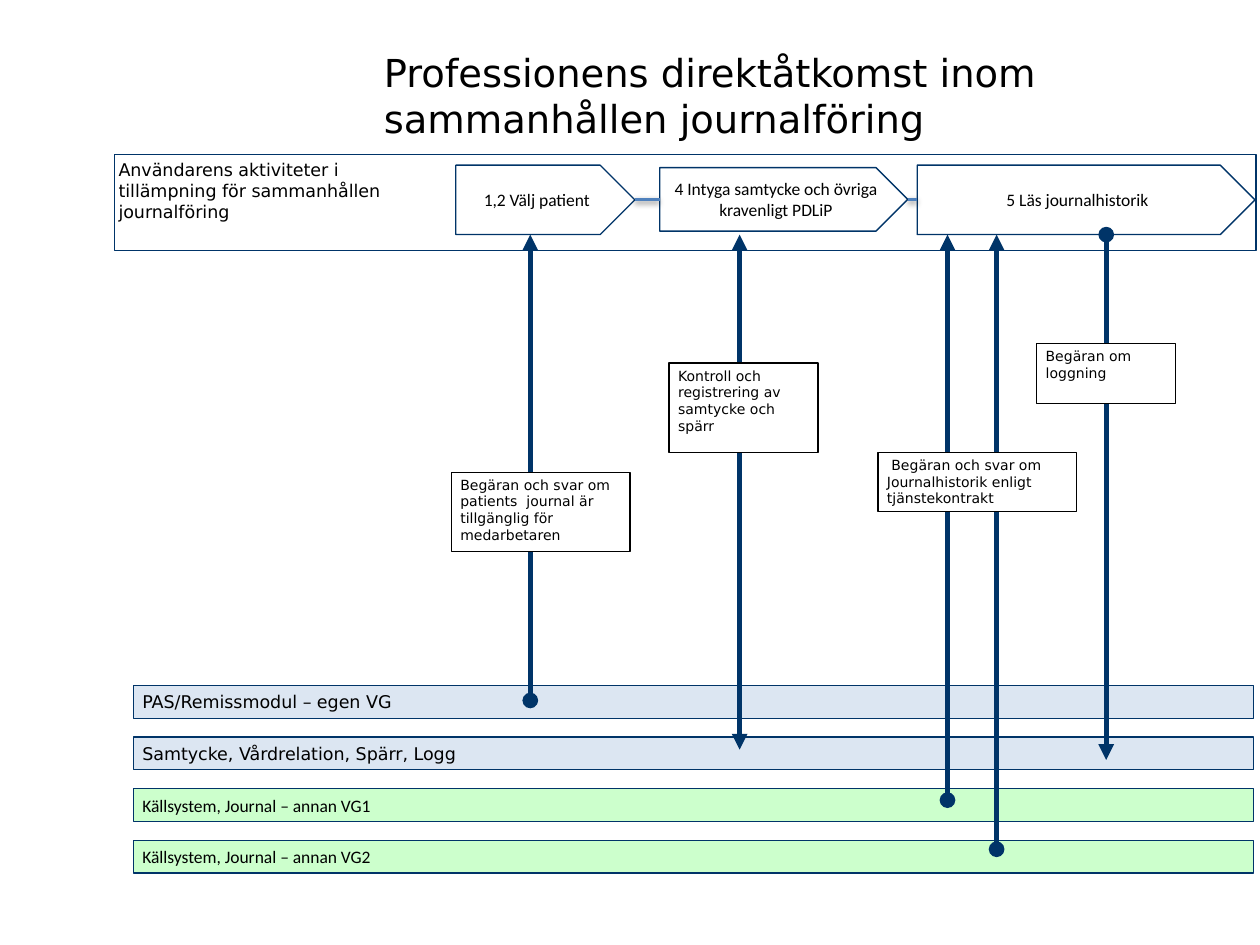
"""Builds the slide on direct access to shared health records."""
from lxml import etree
from pptx import Presentation
from pptx import util as u
from pptx.dml.color import RGBColor
from pptx.enum import shapes, text
from pptx.oxml import parse_xml
from pptx.oxml.ns import nsdecls, qn

NAVY, BLUE, BLACK, WHITE = "003468", "4F81BD", "000000", "FFFFFF"
PALE_BLUE, PALE_GREEN = "DCE6F2", "CCFFCC"
SANS, CALIBRI = "DejaVu Sans", "Calibri"
RECT = shapes.MSO_SHAPE.RECTANGLE
PENTAGON = shapes.MSO_SHAPE.PENTAGON
TOP, MIDDLE = text.MSO_ANCHOR.TOP, text.MSO_ANCHOR.MIDDLE
LEFT, CENTER = text.PP_ALIGN.LEFT, text.PP_ALIGN.CENTER


def color(value):
    """Turn a hex string into a colour."""
    return RGBColor.from_string(value)


def place(area):
    """Turn centimetres into lengths."""
    return [u.Cm(value) for value in area]


class Diagram:
    """Holds the style and the current slide."""

    def __init__(self, page):
        self.page = page

    def set_text(self, box, words, size, font, align=LEFT, anchor=TOP):
        """Put one formatted paragraph in a box."""
        frame = box.text_frame
        frame.word_wrap = True
        frame.vertical_anchor = anchor
        frame.margin_left = frame.margin_right = u.Cm(0.18)
        frame.margin_top = frame.margin_bottom = u.Cm(0.08)
        para = frame.paragraphs[0]
        para.text = words
        para.alignment = align
        para.font.size = u.Pt(size)
        para.font.name = font
        para.font.color.rgb = color(BLACK)

    def title(self, words, area):
        """Fill and move the title placeholder."""
        box = self.page.shapes.title
        box.left, box.top, box.width, box.height = place(area)
        self.set_text(box, words, 22, SANS, anchor=MIDDLE)
        box.text_frame.margin_left = box.text_frame.margin_right = u.Cm(0.25)
        box.text_frame.auto_size = text.MSO_AUTO_SIZE.NONE

    def label(self, words, area):
        """Add plain text."""
        box = self.page.shapes.add_textbox(*place(area))
        self.set_text(box, words, 10, SANS)

    def shape(self, kind, area, fill=None, line=NAVY):
        """Add an outlined shape, filled if a colour is given."""
        box = self.page.shapes.add_shape(kind, *place(area))
        box.shadow.inherit = False
        if fill:
            box.fill.solid()
            box.fill.fore_color.rgb = color(fill)
        else:
            box.fill.background()
        box.line.color.rgb = color(line)
        box.line.width = u.Pt(0.75)
        return box

    def bar(self, words, area, fill, font):
        """Add a system bar."""
        box = self.shape(RECT, area, fill)
        self.set_text(box, words, 10, font, anchor=MIDDLE)

    def step(self, words, area):
        """Add an activity arrow."""
        box = self.shape(PENTAGON, area, WHITE)
        self.set_text(box, words, 10, CALIBRI, CENTER, MIDDLE)

    def note(self, words, area):
        """Add a message note."""
        self.set_text(self.shape(RECT, area, WHITE, BLACK), words, 8, SANS)

    def connector(self, kind, ends, line, width):
        """Add a connector with an empty effect list."""
        link = self.page.shapes.add_connector(kind, *place(ends))
        link.line.color.rgb = color(line)
        link.line.width = u.Pt(width)
        effects = etree.SubElement(link._element.spPr, qn("a:effectLst"))
        return link, effects

    def flow(self, x, top, bottom, head, tail):
        """Add a vertical message line with its end marks."""
        link, _ = self.connector(
            shapes.MSO_CONNECTOR.STRAIGHT, (x, top, x, bottom), NAVY, 3)
        outline = link._element.spPr.find(qn("a:ln"))
        for tag, mark in (("a:headEnd", head), ("a:tailEnd", tail)):
            etree.SubElement(outline, qn(tag), type=mark)

    def link(self, left, right, y):
        """Add a shadowed link between two activities."""
        _, effects = self.connector(
            shapes.MSO_CONNECTOR.ELBOW, (left, y, right, y), BLUE, 2)
        effects.append(parse_xml(
            f'<a:outerShdw {nsdecls("a")} blurRad="39370" dist="20320" '
            f'dir="5400000" rotWithShape="0"><a:srgbClr val="{BLACK}">'
            '<a:alpha val="38000"/></a:srgbClr></a:outerShdw>'))


def main():
    """Build and save the deck."""
    deck = Presentation()
    deck.slide_width, deck.slide_height = u.Cm(25.4), u.Cm(19.05)
    diagram = Diagram(deck.slides.add_slide(deck.slide_layouts[5]))
    diagram.title("Professionens direktåtkomst inom sammanhållen journalföring",
                  (7.49, 0.74, 16.89, 2.34))

    bars = [
        ("PAS/Remissmodul – egen VG", PALE_BLUE, SANS),
        ("Samtycke, Vårdrelation, Spärr, Logg", PALE_BLUE, SANS),
        ("Källsystem, Journal – annan VG1", PALE_GREEN, CALIBRI),
        ("Källsystem, Journal – annan VG2", PALE_GREEN, CALIBRI),
    ]
    for index, (words, fill, font) in enumerate(bars):
        area = (2.69, 13.82 + 1.04 * index, 22.58, 0.66)
        diagram.bar(words, area, fill, font)

    diagram.shape(RECT, (2.31, 3.12, 23.01, 1.93))
    diagram.label("Användarens aktiviteter i tillämpning för sammanhållen "
                  "journalföring", (2.21, 3.12, 6.3, 1.47))
    steps = [
        ("1,2 Välj patient", (9.19, 3.33, 3.61, 1.4)),
        ("4 Intyga samtycke och övriga kravenligt PDLiP",
         (13.3, 3.38, 5, 1.28)),
        ("5 Läs journalhistorik", (18.49, 3.33, 6.81, 1.4)),
    ]
    for words, area in steps:
        diagram.step(words, area)
    for (_, before), (_, after) in zip(steps, steps[1:]):
        diagram.link(before[0] + before[2], after[0], 4.02)

    flows = [
        (10.69, 14.12, "triangle", "oval"),
        (14.91, 15.11, "triangle", "triangle"),
        (19.1, 16.13, "triangle", "oval"),
        (20.09, 17.12, "triangle", "oval"),
        (22.3, 15.32, "oval", "triangle"),
    ]
    for x, bottom, head, tail in flows:
        diagram.flow(x, 4.73, bottom, head, tail)

    notes = [
        ("Begäran och svar om patients  journal är tillgänglig för "
         "medarbetaren", (9.1, 9.52, 3.6, 1.6)),
        ("Kontroll och registrering av samtycke och spärr",
         (13.49, 7.32, 3, 1.8)),
        ("Begäran om loggning", (20.9, 6.93, 2.8, 1.2)),
        (" Begäran och svar om Journalhistorik enligt tjänstekontrakt",
         (17.7, 9.12, 4, 1.2)),
    ]
    for words, area in notes:
        diagram.note(words, area)
    deck.save("out.pptx")


main()
